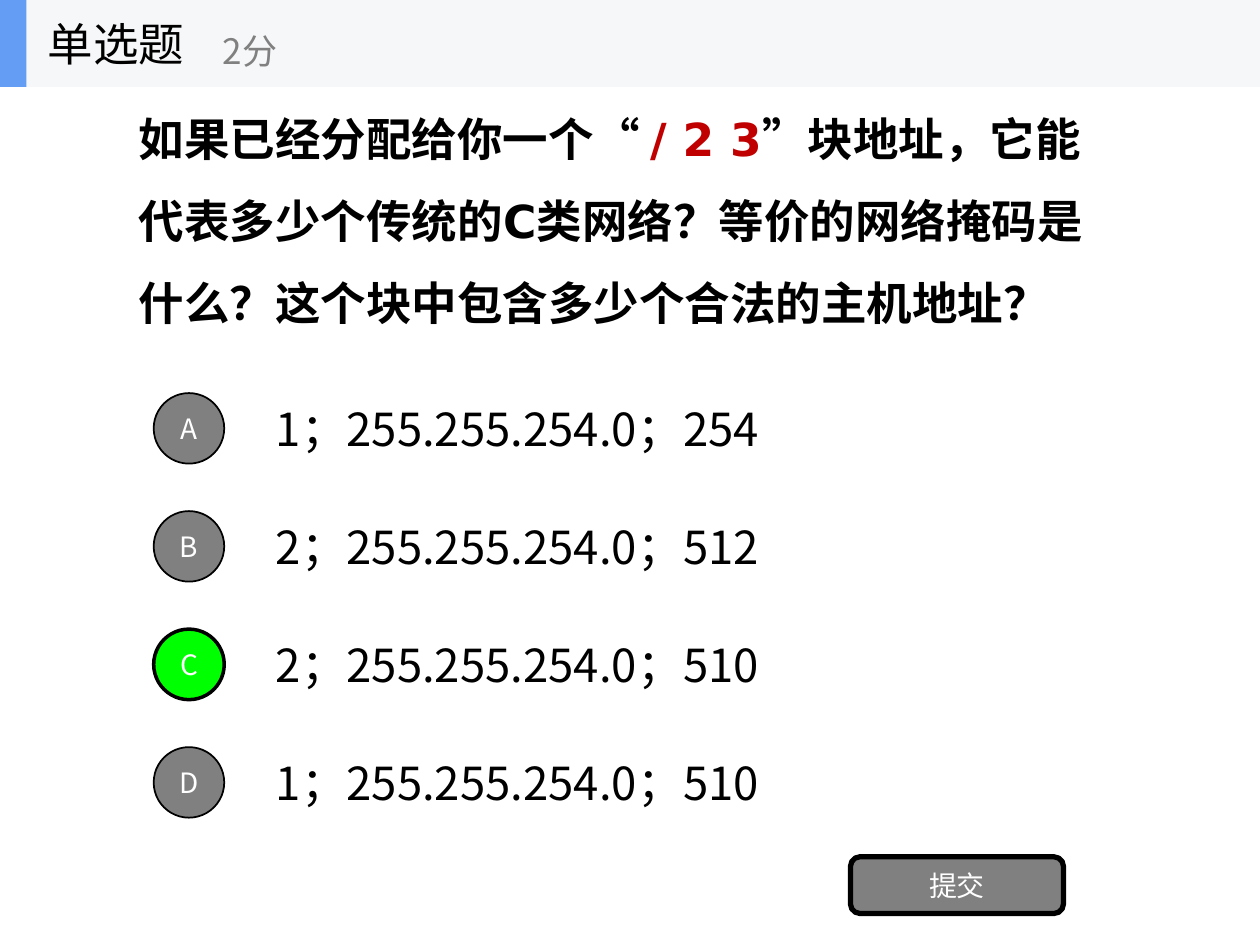
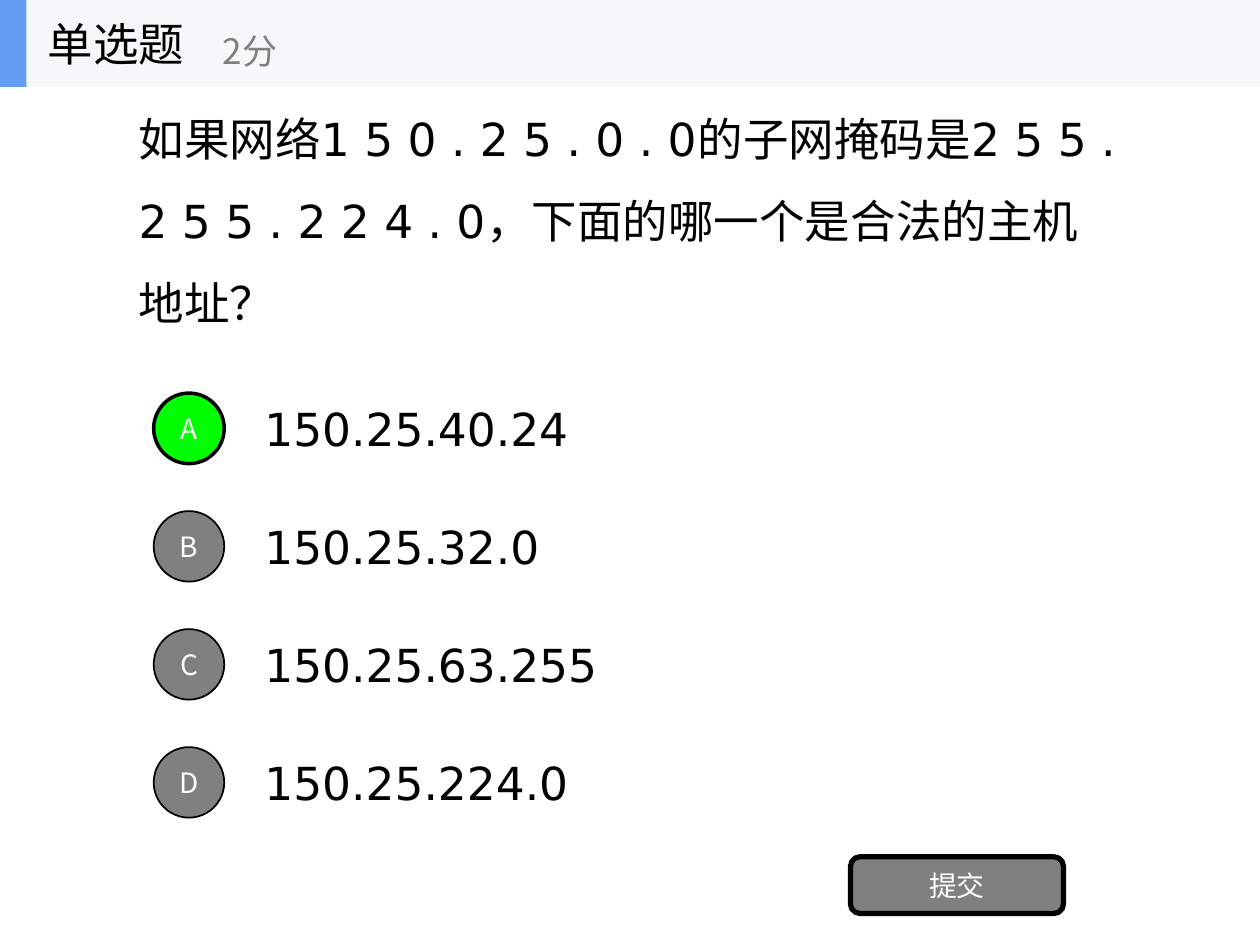
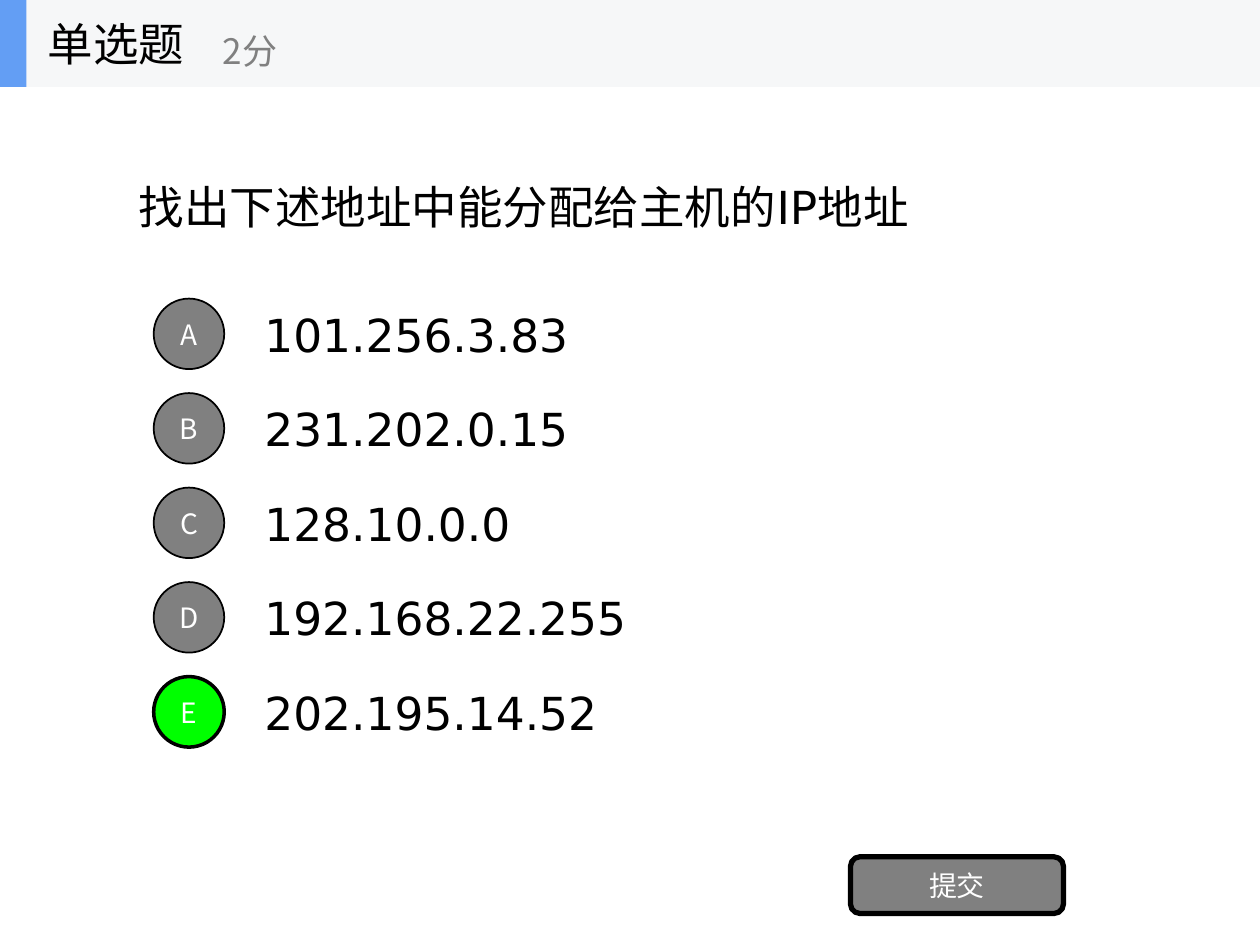
"""Build three single-choice quiz slides about IP addressing."""
from lxml import etree
from pptx import Presentation
from pptx.dml.color import RGBColor
from pptx.enum.shapes import MSO_SHAPE
from pptx.enum.text import MSO_ANCHOR, MSO_AUTO_SIZE, PP_ALIGN
from pptx.oxml.ns import qn
from pptx.util import Inches, Pt

BLACK = RGBColor(0x00, 0x00, 0x00)
WHITE = RGBColor(0xFF, 0xFF, 0xFF)
GRAY = RGBColor(0x80, 0x80, 0x80)
GREEN = RGBColor(0x00, 0xFF, 0x00)
RED = RGBColor(0xC0, 0x00, 0x00)
BAND = RGBColor(0xF6, 0xF7, 0xF8)
ACCENT = RGBColor(0x63, 0x9E, 0xF4)

CJK_FONT = "Noto Sans CJK SC"
LATIN_FONT = "DejaVu Sans"
QUOTE_FONT = "Arial"

RECTANGLE = MSO_SHAPE.RECTANGLE
ROUNDED = MSO_SHAPE.ROUNDED_RECTANGLE
OVAL = MSO_SHAPE.OVAL
LEFT = PP_ALIGN.LEFT
CENTER = PP_ALIGN.CENTER
MIDDLE = MSO_ANCHOR.MIDDLE
NO_AUTOFIT = MSO_AUTO_SIZE.NONE

TITLE_ONLY = 5
BODY_SIZE = 26
LABEL_SIZE = 16
SCORE_SIZE = 20
BAND_HEIGHT = 0.69
ROW_HEIGHT = 0.7
BADGE_SIZE = 0.56

QUESTIONS = [
    {
        "spans": [
            ("如果已经分配给你一个", LATIN_FONT, BLACK),
            ("“ ", QUOTE_FONT, BLACK),
            ("/ 2 3", LATIN_FONT, RED),
            ("”", QUOTE_FONT, BLACK),
            ("块地址，它能代表多少个传统的C类网络？等价的网络掩码是什么？"
             "这个块中包含多少个合法的主机地址？", LATIN_FONT, BLACK),
        ],
        "bold": True,
        "spacing": 1.5,
        "options": ["1；255.255.254.0；254", "2；255.255.254.0；512",
                    "2；255.255.254.0；510", "1；255.255.254.0；510"],
        "answer": "C",
        "option_font": CJK_FONT,
        "option_left": 2.09,
        "first_top": 3.05,
        "last_top": 5.86,
    },
    {
        "spans": [
            ("如果网络1 5 0 . 2 5 . 0 . 0的子网掩码是2 5 5 . 2 5 5 . 2 2 4 . 0，"
             "下面的哪一个是合法的主机地址？", LATIN_FONT, BLACK),
        ],
        "bold": False,
        "spacing": 1.5,
        "options": ["150.25.40.24", "150.25.32.0", "150.25.63.255", "150.25.224.0"],
        "answer": "A",
        "option_font": LATIN_FONT,
        "option_left": 2,
        "first_top": 3.05,
        "last_top": 5.86,
    },
    {
        "spans": [("找出下述地址中能分配给主机的IP地址", LATIN_FONT, BLACK)],
        "bold": False,
        "spacing": 1,
        "options": ["101.256.3.83", "231.202.0.15", "128.10.0.0",
                    "192.168.22.255", "202.195.14.52"],
        "answer": "E",
        "option_font": LATIN_FONT,
        "option_left": 2,
        "first_top": 2.3,
        "last_top": 5.3,
    },
]


def add_span(para, text, size, font_name, color, bold=False):
    """Add one formatted run with a matching East Asian font."""
    span = para.add_run()
    span.text = text
    font = span.font
    font.size, font.name, font.bold = Pt(size), font_name, bold
    font.color.rgb = color
    properties = span._r.get_or_add_rPr()
    properties.set("lang", "zh-CN")
    east_asian = etree.Element(qn("a:ea"), typeface=CJK_FONT)
    properties.find(qn("a:latin")).addnext(east_asian)


def prepare_frame(shape, align=LEFT):
    """Set wrapping and alignment, and return the first paragraph."""
    frame = shape.text_frame
    frame.word_wrap = True
    frame.auto_size = NO_AUTOFIT
    frame.vertical_anchor = MIDDLE
    para = frame.paragraphs[0]
    para.alignment = align
    return para


def add_label(shapes, text, left, top, width, height, size, font_name, color=BLACK):
    """Add a one-line text box."""
    box = shapes.add_textbox(Inches(left), Inches(top), Inches(width), Inches(height))
    add_span(prepare_frame(box), text, size, font_name, color)


def add_block(shapes, kind, left, top, width, height, fill, line_width=0):
    """Add a filled preset shape, outlined in black if it has a line width."""
    block = shapes.add_shape(kind, Inches(left), Inches(top), Inches(width), Inches(height))
    block.shadow.inherit = False
    block.fill.solid()
    block.fill.fore_color.rgb = fill
    if line_width:
        block.line.color.rgb = BLACK
        block.line.width = Pt(line_width)
    else:
        block.line.fill.background()
    return block


def add_question(page, question):
    """Place the question text in the title placeholder."""
    title = page.shapes.title
    title.left, title.top = Inches(1), Inches(0.47)
    title.width, title.height = Inches(8), Inches(2.34)
    para = prepare_frame(title)
    para.line_spacing = question["spacing"]
    for text, font_name, color in question["spans"]:
        add_span(para, text, BODY_SIZE, font_name, color, question["bold"])


def add_options(page, question):
    """Add evenly spaced answers with lettered badges."""
    options = question["options"]
    first_top = question["first_top"]
    pitch = (question["last_top"] - first_top) / (len(options) - 1)
    for index, (letter, text) in enumerate(zip("ABCDE", options)):
        top = first_top + index * pitch
        add_label(page.shapes, text, question["option_left"], top, 7, ROW_HEIGHT,
                  BODY_SIZE, question["option_font"])
        fill, line_width = (GREEN, 2) if letter == question["answer"] else (GRAY, 1)
        badge_top = top + (ROW_HEIGHT - BADGE_SIZE) / 2
        badge = add_block(page.shapes, OVAL, 1.22, badge_top, BADGE_SIZE, BADGE_SIZE,
                          fill, line_width)
        add_span(prepare_frame(badge, CENTER), letter, LABEL_SIZE, CJK_FONT, WHITE)


def add_submit_button(page):
    """Add the submit button."""
    button = add_block(page.shapes, ROUNDED, 6.75, 6.8, 1.69, 0.45, GRAY, 3)
    add_span(prepare_frame(button, CENTER), "提交", LABEL_SIZE, CJK_FONT, WHITE)


def add_header(page):
    """Add the grouped header band with question type and score."""
    shapes = page.shapes.add_group_shape().shapes
    add_block(shapes, RECTANGLE, 0, 0, 10, BAND_HEIGHT, BAND)
    add_block(shapes, RECTANGLE, 0, 0, 0.21, BAND_HEIGHT, ACCENT)
    add_label(shapes, "单选题", 0.28, 0, 2.08, BAND_HEIGHT, BODY_SIZE, CJK_FONT)
    add_label(shapes, "2分", 1.67, 0.12, 2.5, 0.56, SCORE_SIZE, CJK_FONT, GRAY)


def main():
    """Create the deck and save it."""
    deck = Presentation()
    deck.slide_width, deck.slide_height = Inches(10), Inches(7.5)
    for question in QUESTIONS:
        page = deck.slides.add_slide(deck.slide_layouts[TITLE_ONLY])
        add_question(page, question)
        add_options(page, question)
        add_submit_button(page)
        add_header(page)
    deck.save("out.pptx")


if __name__ == "__main__":
    main()
